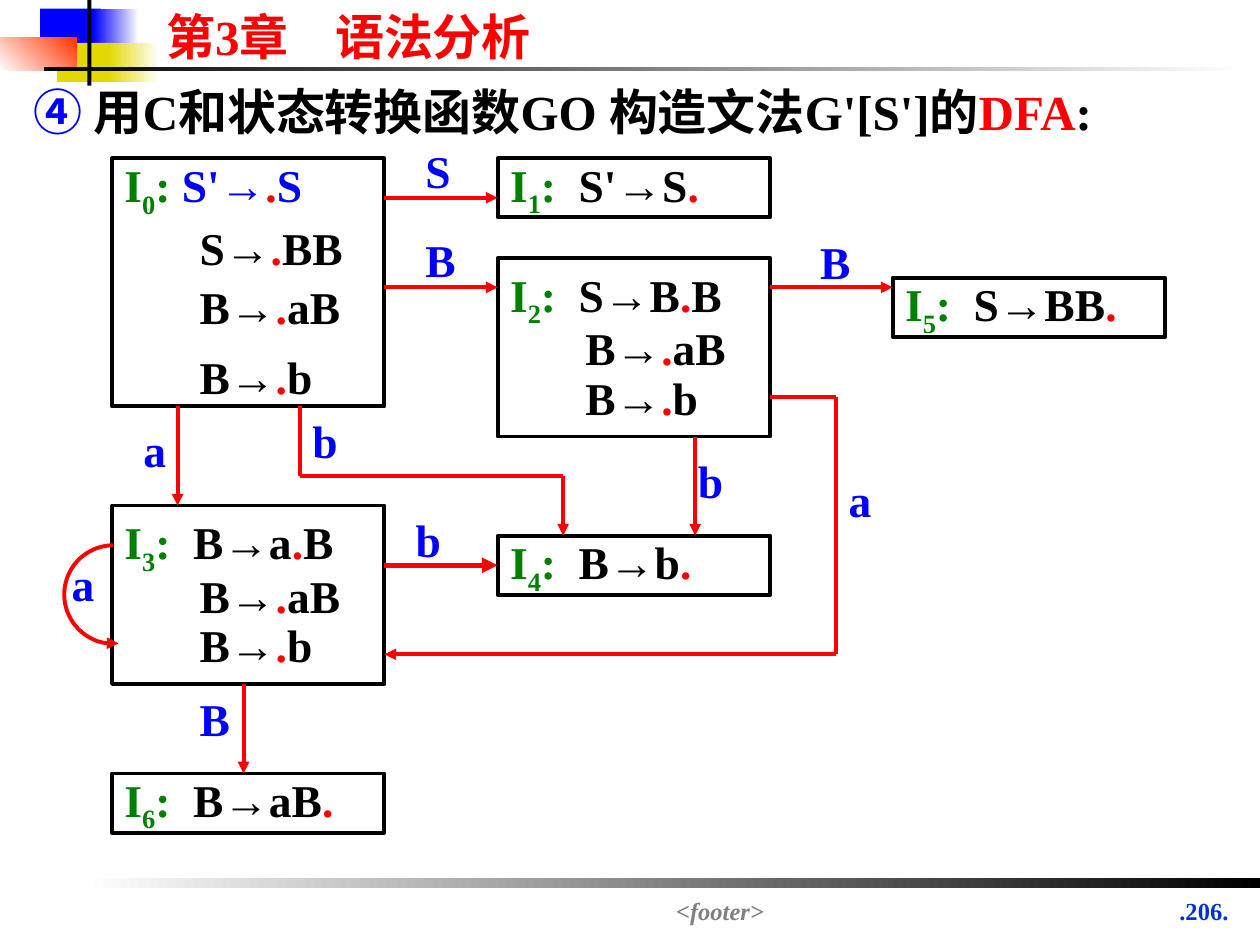
from dataclasses import dataclass
from typing import NamedTuple, Optional

from lxml import etree
from pptx import Presentation
from pptx.dml.color import RGBColor
from pptx.enum import shapes, text
from pptx.oxml.ns import qn
from pptx.util import Pt


@dataclass(frozen=True)
class Theme:
    font: str = "Times New Roman"
    title_size: float = 28
    body_size: float = 26
    foot_size: float = 14
    line: float = 2.25
    black: str = "000000"
    white: str = "FFFFFF"
    red: str = "FF0000"
    blue: str = "0000FF"
    green: str = "008000"
    yellow: str = "E3D801"
    orange: str = "FF3300"
    gray: str = "808080"
    page: str = "0033CC"


T = Theme()


class Run(NamedTuple):
    text: str
    color: str
    sub: bool = False


class Bar(NamedTuple):
    box: tuple
    colors: tuple
    angle: float = 180


@dataclass(frozen=True)
class State:
    """An item set; offsets give the top of each production within the frame."""
    x: float
    y: float
    items: tuple
    offsets: tuple = (0,)
    h: float = 33.8
    color: str = T.black
    gap: str = "\t"


@dataclass(frozen=True)
class Edge:
    label: str
    label_at: tuple
    points: tuple
    width: float = T.line
    target: Optional[int] = None


STATE_W, LINE_H, ITEM_INDENT, ITEM_HANG = 155.7, 33.8, 43, 39.2
COL1, COL2, COL3 = 64, 284.4, 510.1
RIGHT1, RIGHT2 = COL1 + STATE_W, COL2 + STATE_W
THREE = dict(offsets=(5.8, 34.2, 62.6), h=102)

STATES = (
    State(COL1, 90.5, ("S'→.S", "S→.BB", "B→.aB", "B→.b"),
          (0.2, 34, 67.9, 107.5), 141.7, T.blue, " "),
    State(COL2, 90.5, ("S'→S.",)),
    State(COL2, 147.5, ("S→B.B", "B→.aB", "B→.b"), **THREE),
    State(COL1, 288.9, ("B→a.B", "B→.aB", "B→.b"), **THREE),
    State(COL2, 306.1, ("B→b.",)),
    State(COL3, 158.7, ("S→BB.",)),
    State(COL1, 442, ("B→aB.",)),
)

EDGES = (
    Edge("S", (236, 78), ((RIGHT1, 113), (COL2, 113))),
    Edge("B", (236, 129), ((RIGHT1, 164.2), (COL2, 164.2))),
    Edge("B", (461.5, 130.3), ((RIGHT2, 164.2), (COL3, 164.2))),
    Edge("B", (107, 391.3), ((139.2, 391), (139.2, 442))),
    Edge("b", (391.7, 255.1), ((397.2, 249.5), (397.2, 306.1))),
    Edge("a", (74.9, 237.8), ((101.5, 232.2), (101.5, 288.9))),
    Edge("b", (171.4, 232.6),
         ((171.4, 232.2), (171.4, 272.2), (321.8, 272.2), (321.8, 306.1))),
    Edge("a", (477.8, 266.4),
         ((RIGHT2, 226.7), (477.7, 226.7), (477.7, 373.9), (RIGHT1, 373.9))),
    Edge("b", (230.4, 288.9), ((RIGHT1, 323), (COL2, 323)), 3, target=4),
)

BARS = (
    Bar((23, 5, 34.6, 22.3), (T.blue,)),
    Bar((53.3, 5, 25.9, 22.3), (T.white, T.blue)),
    Bar((32.6, 24.5, 33.1, 22.3), (T.yellow,)),
    Bar((61.9, 24.5, 28.8, 22.3), (T.white, T.yellow)),
    Bar((0, 21.2, 43.9, 19.4), (T.orange, T.white), 225),
    Bar((50, 0, 2.2, 49), (T.black,)),
    Bar((25.2, 38.2, 684.7, 2.6), (T.white, T.black)),
    Bar((48.2, 501.8, 671.8, 5.8), (T.black, T.white)),
)


def rgb(value: str) -> RGBColor:
    return RGBColor.from_string(value)


def pts(values) -> list:
    return [Pt(v) for v in values]


def write(sp, runs, size=T.body_size, align=text.PP_ALIGN.LEFT,
          anchor=text.MSO_ANCHOR.TOP, italic=False, hang=0) -> None:
    """Fill a shape with one paragraph; a tab in it leads to the hanging indent."""
    tf = sp.text_frame
    tf.word_wrap, tf.auto_size = True, text.MSO_AUTO_SIZE.NONE
    tf.vertical_anchor = anchor
    tf.margin_left = tf.margin_right = Pt(7.2)
    tf.margin_top = tf.margin_bottom = Pt(3.6)
    p = tf.paragraphs[0]
    pPr = p._p.get_or_add_pPr()
    pPr.set("marL", str(int(Pt(hang))))
    pPr.set("indent", str(-int(Pt(hang))))
    etree.SubElement(pPr, qn("a:buNone"))
    p.alignment, p.space_before = align, Pt(0)
    for run in runs:
        r = p.add_run()
        r.text = run.text
        f = r.font
        f.name, f.size, f.bold, f.italic = T.font, Pt(size), True, italic
        f.color.rgb = rgb(run.color)
        if run.sub:
            r._r.get_or_add_rPr().set("baseline", "-25000")


def add_text(s, box, runs, **fmt) -> None:
    write(s.shapes.add_textbox(*pts(box)), runs, **fmt)


def fill_placeholder(sp, box, runs, **fmt) -> None:
    sp.left, sp.top, sp.width, sp.height = pts(box)
    write(sp, runs, size=T.title_size, **fmt)


def add_bar(s, bar: Bar) -> None:
    sp = s.shapes.add_shape(shapes.MSO_SHAPE.RECTANGLE, *pts(bar.box))
    sp.shadow.inherit = False
    sp.line.fill.background()
    if len(bar.colors) == 1:
        sp.fill.solid()
        sp.fill.fore_color.rgb = rgb(bar.colors[0])
        return
    sp.fill.gradient()
    sp.fill.gradient_angle = bar.angle
    for stop, color in zip(sp.fill.gradient_stops, bar.colors):
        stop.color.rgb = rgb(color)


def add_outline(s, kind, box, color):
    sp = s.shapes.add_shape(kind, *pts(box))
    sp.shadow.inherit = False
    sp.fill.background()
    sp.line.color.rgb, sp.line.width = rgb(color), Pt(T.line)
    return sp


def item_runs(item: str, color: str) -> list:
    """Split a production around its red dot."""
    before, dot, after = item.partition(".")
    runs = [Run(before, color), Run(dot, T.red), Run(after, color)]
    return [run for run in runs if run.text]


def add_state(s, number: int, state: State):
    frame = add_outline(s, shapes.MSO_SHAPE.RECTANGLE,
                        (state.x, state.y, STATE_W, state.h), T.black)
    fmt = dict(anchor=text.MSO_ANCHOR.MIDDLE, hang=ITEM_HANG)
    first, *rest = state.items
    head = [Run("I", T.green), Run(str(number), T.green, True),
            Run(":" + state.gap, T.green), *item_runs(first, state.color)]
    if not rest:
        write(frame, head, **fmt)
        return frame
    add_text(s, (state.x, state.y + state.offsets[0], STATE_W, LINE_H), head, **fmt)
    for item, dy in zip(rest, state.offsets[1:]):
        add_text(s, (state.x + ITEM_INDENT, state.y + dy, STATE_W, LINE_H),
                 item_runs(item, T.black), anchor=text.MSO_ANCHOR.MIDDLE)
    return frame


def add_arrowhead(sp, end: str) -> None:
    etree.SubElement(sp.line._get_or_add_ln(), qn(end), type="triangle")


def add_label(s, label: str, at: tuple) -> None:
    add_text(s, (*at, 32.4, 38.9), [Run(label, T.blue)])


def add_edge(s, edge: Edge, frames: list) -> None:
    for start, end in zip(edge.points, edge.points[1:]):
        c = s.shapes.add_connector(shapes.MSO_CONNECTOR.STRAIGHT, *pts(start + end))
        c.line.color.rgb, c.line.width = rgb(T.red), Pt(edge.width)
        etree.SubElement(c._element.spPr, qn("a:effectLst"))
    add_arrowhead(c, "a:tailEnd")
    if edge.target is not None:
        c.end_connect(frames[edge.target], 1)
    add_label(s, edge.label, edge.label_at)


def add_loop(s) -> None:
    sp = add_outline(s, shapes.MSO_SHAPE.ARC, (36.7, 311.6, 56.2, 56.2), T.red)
    sp.adjustments[0], sp.adjustments[1] = 50.4, 162  # 84 and 270 degrees
    add_arrowhead(sp, "a:headEnd")
    add_label(s, "a", (33.8, 314.1))


def main() -> None:
    prs = Presentation()
    prs.slide_width, prs.slide_height = Pt(720), Pt(540)
    s = prs.slides.add_slide(prs.slide_layouts[1])
    fill_placeholder(s.shapes.title, (87.8, 0, 236, 41),
                     [Run("第3章\t语法分析", T.red)], hang=96.5)
    fill_placeholder(s.placeholders[1], (12.2, 43.2, 689.8, 41),
                     [Run("④", T.blue),
                      Run(" 用C和状态转换函数GO 构造文法G'[S']的", T.black),
                      Run("DFA", T.red), Run(":", T.black)])
    for bar in BARS:
        add_bar(s, bar)
    foot = dict(size=T.foot_size, align=text.PP_ALIGN.CENTER)
    add_text(s, (658.1, 508.3, 59.8, 30), [Run(".206.", T.page)], **foot)
    add_text(s, (144.7, 508.3, 533.5, 18.7), [Run("<footer>", T.gray)],
             italic=True, **foot)
    frames = [add_state(s, i, state) for i, state in enumerate(STATES)]
    for edge in EDGES:
        add_edge(s, edge, frames)
    add_loop(s)
    prs.save("out.pptx")


if __name__ == "__main__":
    main()
